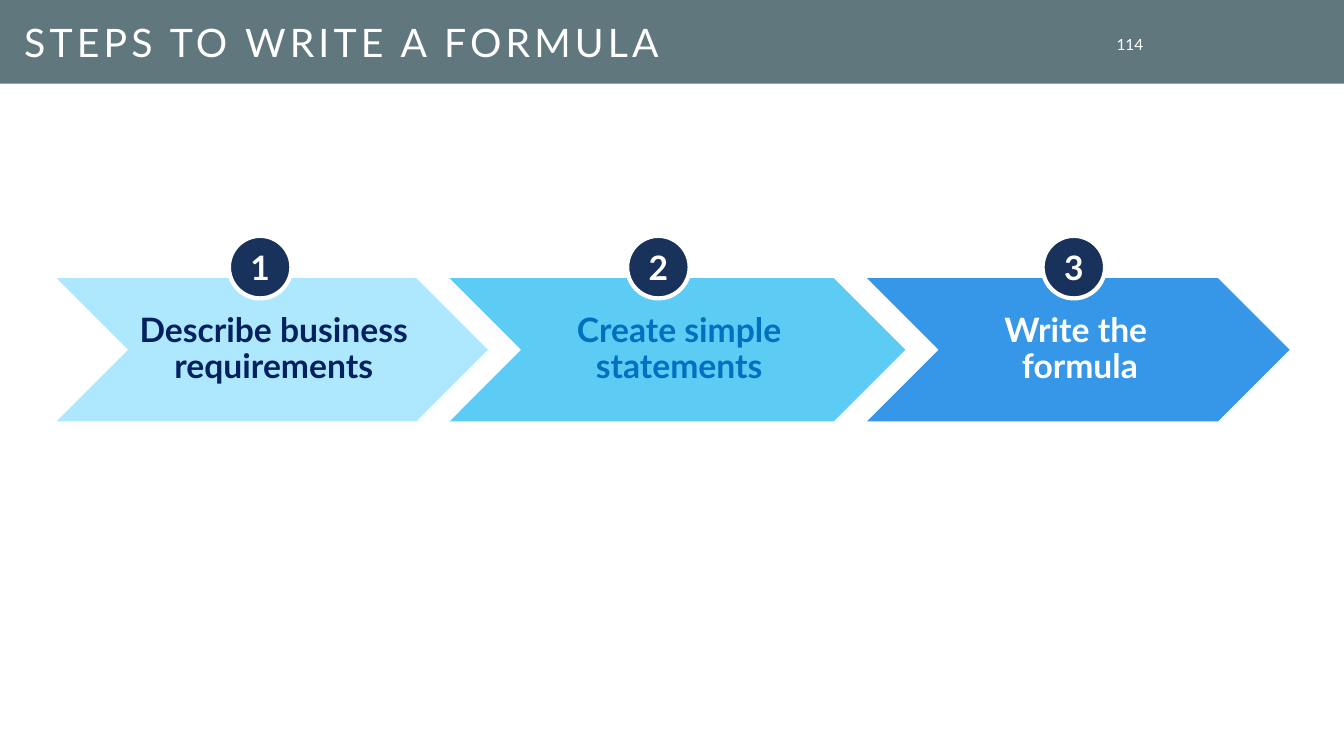
"""Build the slide showing the three steps to write a formula."""
from lxml import etree
from pptx import Presentation
from pptx.dml.color import RGBColor
from pptx.enum.shapes import MSO_SHAPE
from pptx.enum.text import MSO_ANCHOR, MSO_AUTO_SIZE, PP_ALIGN
from pptx.oxml.ns import qn
from pptx.util import Inches, Pt

RECTANGLE, CHEVRON, OVAL = MSO_SHAPE.RECTANGLE, MSO_SHAPE.CHEVRON, MSO_SHAPE.OVAL
MIDDLE, NO_AUTOFIT = MSO_ANCHOR.MIDDLE, MSO_AUTO_SIZE.NONE
LEFT, CENTER, RIGHT = PP_ALIGN.LEFT, PP_ALIGN.CENTER, PP_ALIGN.RIGHT

WHITE = RGBColor(0xFF, 0xFF, 0xFF)
SLATE = RGBColor(0x60, 0x77, 0x7E)
NAVY = RGBColor(0x19, 0x32, 0x5C)
DARK_BLUE = RGBColor(0x00, 0x20, 0x60)
MID_BLUE = RGBColor(0x00, 0x70, 0xC0)
PALE_SKY = RGBColor(0x53, 0xCF, 0xFF)
SKY = RGBColor(0x00, 0xB0, 0xF0)
BLUE = RGBColor(0x00, 0x7C, 0xE2)


def write_text(shape, text, size=24, color=WHITE, bold=False, align=CENTER,
               line_spacing=1.0, insets=(0, 0, 0, 0), wrap=True):
    frame = shape.text_frame
    frame.text = text
    frame.auto_size = NO_AUTOFIT
    frame.word_wrap = wrap
    frame.vertical_anchor = MIDDLE
    frame.margin_left, frame.margin_top, frame.margin_right, frame.margin_bottom = map(Inches, insets)
    for paragraph in frame.paragraphs:
        paragraph.alignment = align
        paragraph.line_spacing = line_spacing
        for run in paragraph.runs:
            run.font.name = "Lato"
            run.font.size = Pt(size)
            run.font.bold = bold
            run.font.color.rgb = color


def add_filled_shape(shapes, kind, left, top, width, height, color):
    shape = shapes.add_shape(kind, Inches(left), Inches(top), Inches(width), Inches(height))
    shape.shadow.inherit = False
    shape.fill.solid()
    shape.fill.fore_color.rgb = color
    shape.line.fill.background()
    return shape


presentation = Presentation()
presentation.slide_width = Inches(13.33)
presentation.slide_height = Inches(7.5)
slide = presentation.slides.add_slide(presentation.slide_layouts[5])

title = slide.shapes.title
band = add_filled_shape(slide.shapes, RECTANGLE, 0, 0, 13.33, 0.83, SLATE)
title._element.addprevious(band._element)
title.left, title.top = Inches(0.14), Inches(0)
title.width, title.height = Inches(10.77), Inches(0.82)
write_text(title, "STEPS TO WRITE A FORMULA", size=28, align=LEFT, line_spacing=0.8,
           insets=(0.1, 0.15, 0.1, 0.05))
title.text_frame.paragraphs[0].runs[0].font._element.set("spc", "300")

page_number = slide.shapes.add_textbox(Inches(10.91), Inches(0.33), Inches(0.53), Inches(0.22))
write_text(page_number, "114", size=11, align=RIGHT, insets=(0.1, 0, 0.1, 0))

ARROW_TOP, ARROW_HEIGHT = 2.76, 1.42
BADGE_TOP, BADGE_SIZE = 2.34, 0.62
steps = [
    ("Describe business\nrequirements", 0.56, 4.28, PALE_SKY, 47, DARK_BLUE, 2.27),
    ("Create simple\nstatements", 4.46, 4.52, SKY, 64, MID_BLUE, 6.22),
    ("Write the \nformula", 8.6, 4.19, BLUE, 79, WHITE, 10.34),
]

for text, left, width, color, opacity, text_color, badge_left in steps:
    group = slide.shapes.add_group_shape()
    arrow = add_filled_shape(group.shapes, CHEVRON, left, ARROW_TOP, width, ARROW_HEIGHT, color)
    arrow_color = arrow._element.spPr.find(qn("a:solidFill"))[0]
    etree.SubElement(arrow_color, qn("a:alpha")).set("val", str(opacity * 1000))
    label_width = width * 0.705
    label = group.shapes.add_textbox(Inches(left + (width - label_width) / 2), Inches(ARROW_TOP),
                                     Inches(label_width), Inches(ARROW_HEIGHT))
    write_text(label, text, color=text_color, bold=True, line_spacing=0.9,
               insets=(0.04, 0.01, 0.01, 0.01), wrap=False)

for number, step in enumerate(steps, start=1):
    badge = add_filled_shape(slide.shapes, OVAL, step[-1], BADGE_TOP, BADGE_SIZE, BADGE_SIZE, NAVY)
    badge.line.color.rgb = WHITE
    badge.line.width = Pt(3)
    write_text(badge, str(number), bold=True)

presentation.save("out.pptx")
